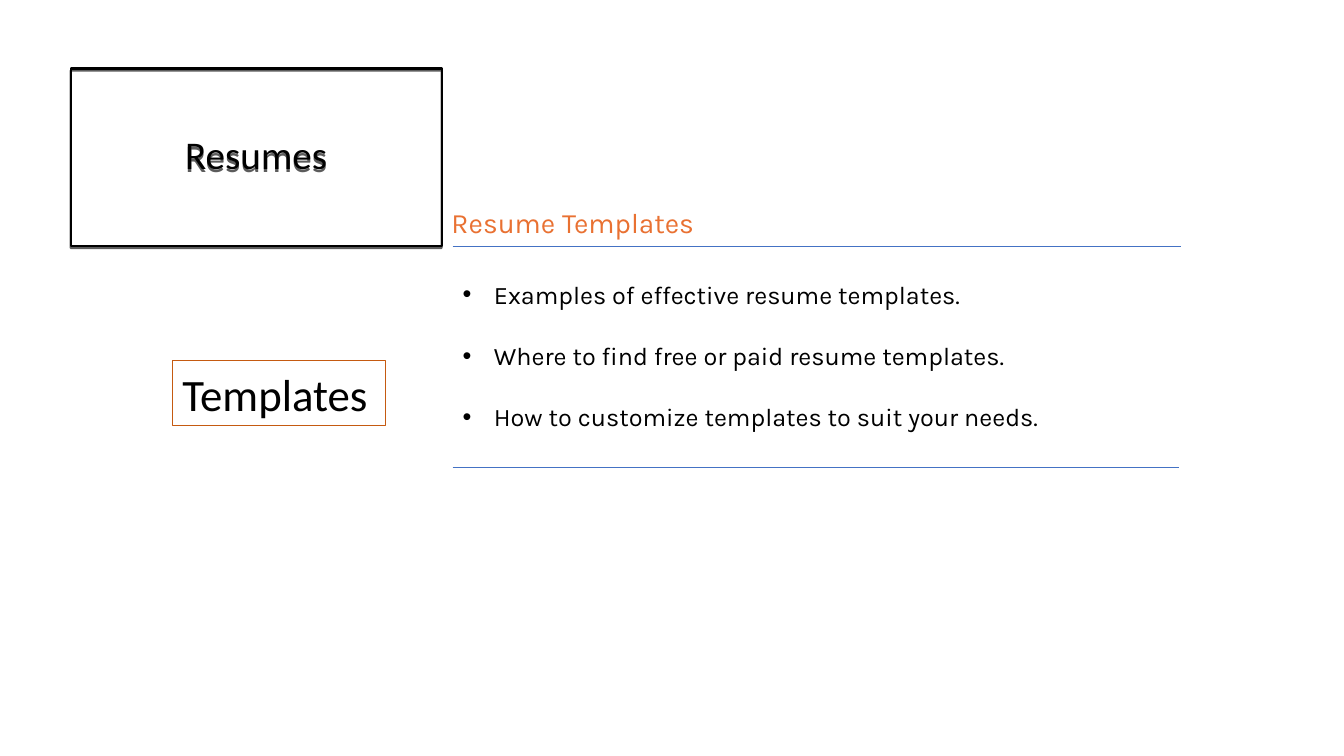
from dataclasses import dataclass

from lxml.etree import SubElement
from pptx import Presentation
from pptx.dml.color import RGBColor
from pptx.enum.shapes import MSO_CONNECTOR, MSO_SHAPE
from pptx.enum.text import MSO_ANCHOR, PP_ALIGN
from pptx.oxml.ns import qn
from pptx.util import Emu, Pt


@dataclass(frozen=True)
class Theme:
    black: str = "000000"
    accent: str = "E97132"
    frame: str = "C55A11"
    rule: str = "4472C4"
    heading_font: str = "Calibri"
    body_font: str = "Karla"
    title_size: int = 28
    label_size: int = 32
    subtitle_size: int = 20
    body_size: int = 18
    bullet_gap: int = 22


class SlideBuilder:
    EMU_PER_PX = 9144  # 100 px to the inch

    def __init__(self, slide, theme):
        self.slide = slide
        self.theme = theme

    @classmethod
    def px(cls, length):
        return Emu(length * cls.EMU_PER_PX)

    def style(self, paragraph, font, size, color):
        for run in paragraph.runs:
            run.font.name = font
            run.font.size = Pt(size)
            run.font.color.rgb = RGBColor.from_string(color)

    def text(self, box, content, font, size, color):
        shape = self.slide.shapes.add_textbox(*map(self.px, box))
        shape.text_frame.word_wrap = True
        shape.text_frame.text = content
        for paragraph in shape.text_frame.paragraphs:
            self.style(paragraph, font, size, color)
        return shape

    def framed_text(self, box, content, size, line_color, line_width, align):
        shape = self.slide.shapes.add_shape(MSO_SHAPE.RECTANGLE, *map(self.px, box))
        shape.shadow.inherit = False
        shape.fill.background()
        shape.line.color.rgb = RGBColor.from_string(line_color)
        shape.line.width = Pt(line_width)
        frame = shape.text_frame
        frame.vertical_anchor = MSO_ANCHOR.MIDDLE
        frame.text = content
        frame.paragraphs[0].alignment = align
        self.style(frame.paragraphs[0], self.theme.heading_font, size, self.theme.black)
        return shape

    def drop_shadow(self, shape, distance, opacity):
        effects = shape._element.spPr.find(qn("a:effectLst"))
        shadow = SubElement(effects, qn("a:outerShdw"), blurRad="0",
                            dist=str(Pt(distance)), dir="5400000", rotWithShape="0")
        color = SubElement(shadow, qn("a:srgbClr"), val=self.theme.black)
        SubElement(color, qn("a:alpha"), val=str(opacity * 1000))

    def bullets(self, box, items, indent):
        theme = self.theme
        shape = self.text(box, "\n".join(items), theme.body_font, theme.body_size, theme.black)
        for paragraph in shape.text_frame.paragraphs:
            paragraph.space_after = Pt(theme.bullet_gap)
            properties = paragraph._p.get_or_add_pPr()
            properties.set("marL", str(self.px(indent)))
            properties.set("indent", str(-self.px(indent)))
            SubElement(properties, qn("a:buFont"), typeface="Arial")
            SubElement(properties, qn("a:buChar"), char="•")

    def rule(self, left, right, y):
        ends = map(self.px, (left, y, right, y))
        line = self.slide.shapes.add_connector(MSO_CONNECTOR.STRAIGHT, *ends)
        line.line.color.rgb = RGBColor.from_string(self.theme.rule)
        line.line.width = Pt(0.5)
        SubElement(line._element.spPr, qn("a:effectLst"))


def main():
    theme = Theme()
    presentation = Presentation()
    presentation.slide_width = SlideBuilder.px(1333)
    presentation.slide_height = SlideBuilder.px(750)
    slide = presentation.slides.add_slide(presentation.slide_layouts[6])
    builder = SlideBuilder(slide, theme)

    # Title box
    title = builder.framed_text((70, 68, 368, 176), "Resumes", theme.title_size,
                                theme.black, 1.5, PP_ALIGN.CENTER)
    title.text_frame.paragraphs[0].line_spacing = 0.9
    builder.drop_shadow(title, distance=1.5, opacity=63)

    # Rules around the list
    builder.rule(449, 1171, 244)
    builder.rule(449, 1169, 464)

    # Section heading and side label
    builder.text((438, 199, 667, 44), "Resume Templates", theme.body_font,
                 theme.subtitle_size, theme.accent)
    label = builder.framed_text((171, 358, 211, 64), "Templates", theme.label_size,
                                theme.frame, 0.75, PP_ALIGN.LEFT)
    label.text_frame.word_wrap = False

    # Bullet list
    builder.bullets((449, 272, 722, 162), (
        "Examples of effective resume templates.",
        "Where to find free or paid resume templates.",
        "How to customize templates to suit your needs.",
    ), indent=31)

    presentation.save("out.pptx")


if __name__ == "__main__":
    main()
